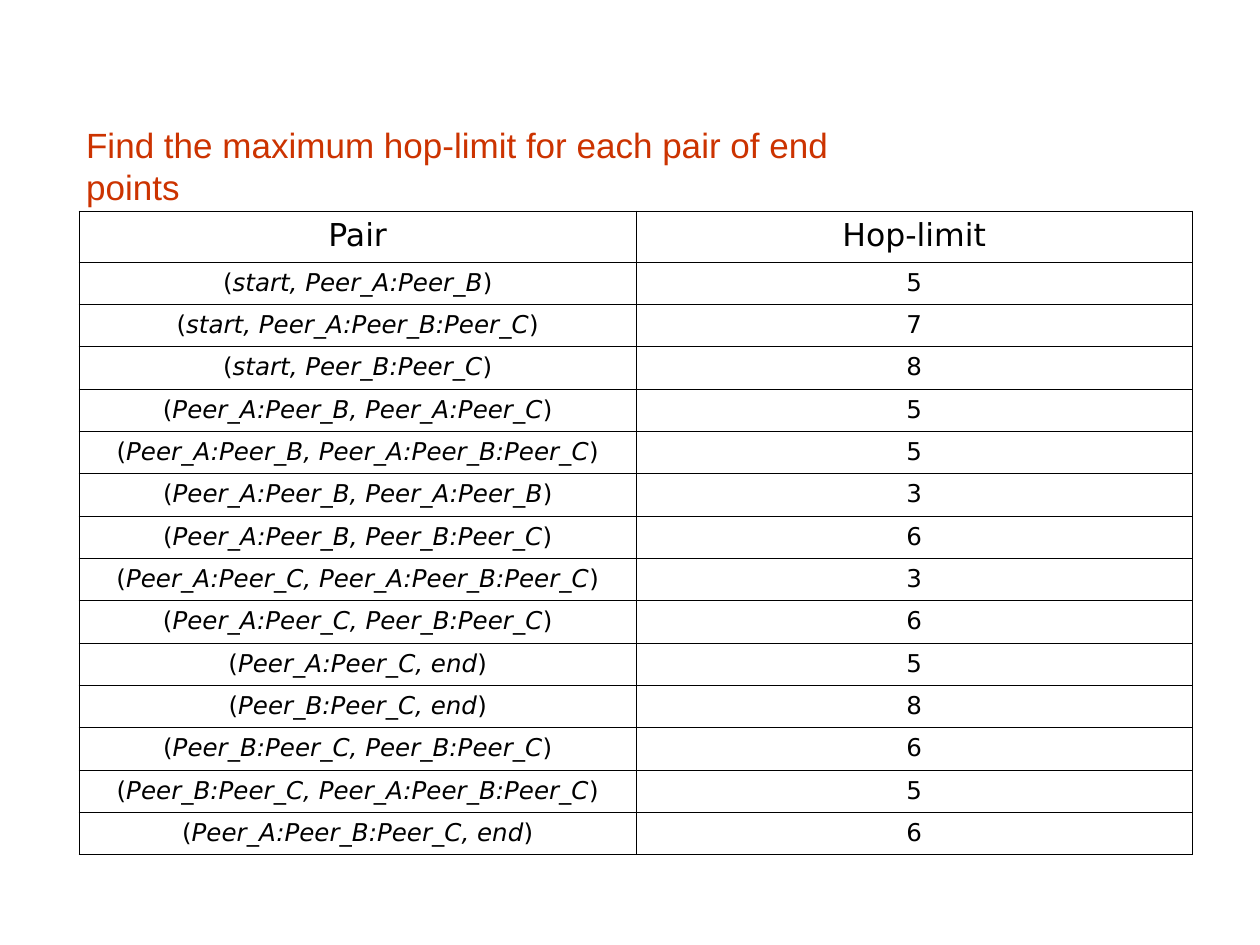
from lxml import etree
from pptx import Presentation
from pptx.dml.color import RGBColor
from pptx.enum import text
from pptx.oxml import ns
from pptx.util import Pt

RED = RGBColor(0xCC, 0x33, 0x00)
BLACK = RGBColor(0, 0, 0)
OUTER_LINE, INNER_LINE = Pt(1.08), Pt(0.45)
HEADER_HEIGHT, ROW_HEIGHT = Pt(29), Pt(24.2)
COLUMN_WIDTH = Pt(318)

HEADINGS = ("Pair", "Hop-limit")
HOP_LIMITS = [
    ("start, Peer_A:Peer_B", 5),
    ("start, Peer_A:Peer_B:Peer_C", 7),
    ("start, Peer_B:Peer_C", 8),
    ("Peer_A:Peer_B, Peer_A:Peer_C", 5),
    ("Peer_A:Peer_B, Peer_A:Peer_B:Peer_C", 5),
    ("Peer_A:Peer_B, Peer_A:Peer_B", 3),
    ("Peer_A:Peer_B, Peer_B:Peer_C", 6),
    ("Peer_A:Peer_C, Peer_A:Peer_B:Peer_C", 3),
    ("Peer_A:Peer_C, Peer_B:Peer_C", 6),
    ("Peer_A:Peer_C, end", 5),
    ("Peer_B:Peer_C, end", 8),
    ("Peer_B:Peer_C, Peer_B:Peer_C", 6),
    ("Peer_B:Peer_C, Peer_A:Peer_B:Peer_C", 5),
    ("Peer_A:Peer_B:Peer_C, end", 6),
]


def add_text(paragraph, words, size=14, font="DejaVu Sans", color=BLACK,
             italic=False, align=text.PP_ALIGN.CENTER):
    paragraph.alignment = align
    run = paragraph.add_run()
    run.text = words
    run.font.size = Pt(size)
    run.font.name = font
    run.font.color.rgb = color
    run.font.italic = italic


def add_title(slide, words):
    title = slide.shapes.title
    title.left, title.top, title.width, title.height = Pt(42), Pt(67), Pt(497.5), Pt(31.5)
    frame = title.text_frame
    frame.word_wrap = False
    frame.auto_size = text.MSO_AUTO_SIZE.SHAPE_TO_FIT_TEXT
    frame.vertical_anchor = text.MSO_ANCHOR.TOP
    add_text(frame.paragraphs[0], words, size=20, font="Arial", color=RED,
             align=text.PP_ALIGN.LEFT)


def set_borders(cell, **on_edge):
    """Draw the four sides, heavier where the side lies on the table's edge."""
    properties = cell._tc.get_or_add_tcPr()
    for side in ("lnL", "lnR", "lnT", "lnB"):
        width = OUTER_LINE if on_edge[side] else INNER_LINE
        line = etree.SubElement(properties, ns.qn(f"a:{side}"), w=str(int(width)))
        fill = etree.SubElement(line, ns.qn("a:solidFill"))
        etree.SubElement(fill, ns.qn("a:srgbClr"), val=str(BLACK))


def add_hop_table(slide):
    row_count, column_count = len(HOP_LIMITS) + 1, len(HEADINGS)
    table = slide.shapes.add_table(
        row_count, column_count, Pt(45.4), Pt(120.8), COLUMN_WIDTH * column_count,
        HEADER_HEIGHT + ROW_HEIGHT * len(HOP_LIMITS)).table
    table.first_row = table.horz_banding = False
    for column in table.columns:
        column.width = COLUMN_WIDTH
    for r, row in enumerate(table.rows):
        row.height = ROW_HEIGHT if r else HEADER_HEIGHT
        for c, cell in enumerate(row.cells):
            set_borders(cell, lnL=c == 0, lnR=c == column_count - 1,
                        lnT=r == 0, lnB=r == row_count - 1)
            cell.fill.background()

    for c, heading in enumerate(HEADINGS):
        add_text(table.cell(0, c).text_frame.paragraphs[0], heading, size=18)
    for r, (pair, limit) in enumerate(HOP_LIMITS, start=1):
        pair_line = table.cell(r, 0).text_frame.paragraphs[0]
        add_text(pair_line, "(")
        add_text(pair_line, pair, italic=True)
        add_text(pair_line, ")")
        add_text(table.cell(r, 1).text_frame.paragraphs[0], str(limit))


def main():
    deck = Presentation()
    deck.slide_width, deck.slide_height = Pt(720), Pt(540)
    slide = deck.slides.add_slide(deck.slide_layouts[5])
    add_title(slide, "Find the maximum hop-limit for each pair of end points")
    add_hop_table(slide)
    deck.save("out.pptx")


if __name__ == "__main__":
    main()
